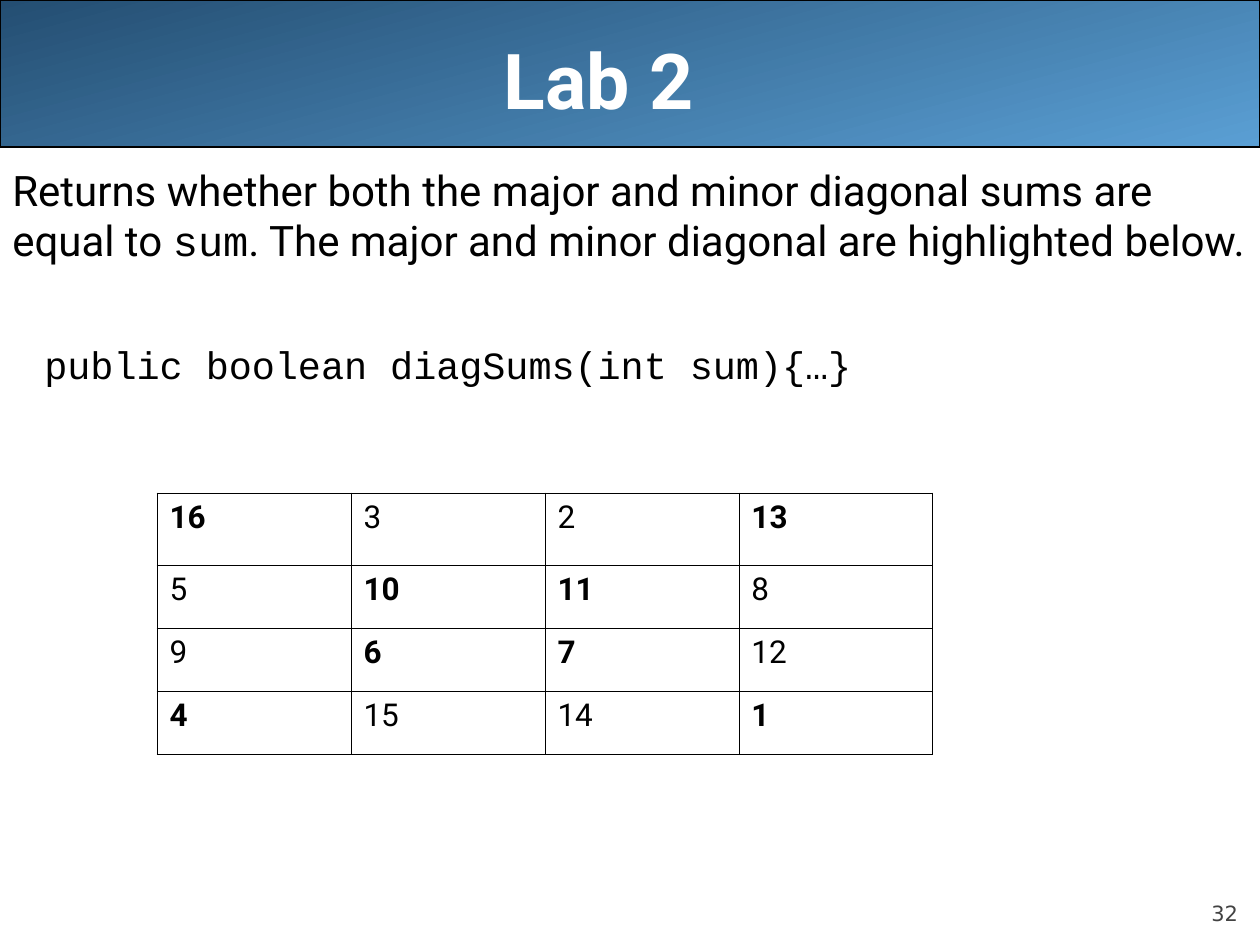
from dataclasses import dataclass

from lxml.etree import SubElement
from pptx import Presentation
from pptx.dml.color import RGBColor
from pptx.enum.shapes import MSO_SHAPE
from pptx.enum.text import MSO_ANCHOR, PP_ALIGN
from pptx.oxml.ns import qn
from pptx.util import Pt

EMU_PER_PX = 914400 / 126
COLORS = {
    "banner_dark": "244E72",
    "banner_light": "5A9FD4",
    "ink": "000000",
    "title": "FFFFFF",
    "page": "424242",
}
SANS, MONO, PAGE_FONT = "Roboto", "Courier New", "DejaVu Sans"
SQUARE = [[16, 3, 2, 13], [5, 10, 11, 8], [9, 6, 7, 12], [4, 15, 14, 1]]
COLUMN_WIDTH = 194
ROW_HEIGHTS = [72, 63, 63, 63]


@dataclass
class Box:
    left: int
    top: int
    width: int
    height: int

    def emu(self) -> list[int]:
        return [px(n) for n in (self.left, self.top, self.width, self.height)]


@dataclass
class Span:
    text: str
    size: int
    face: str = SANS
    color: str = "ink"
    bold: bool = False


def px(length: int) -> int:
    return round(length * EMU_PER_PX)


def rgb(name: str) -> RGBColor:
    return RGBColor.from_string(COLORS[name])


def style(run, span: Span) -> None:
    run.font.name = span.face
    run.font.size = Pt(span.size)
    run.font.bold = span.bold
    run.font.color.rgb = rgb(span.color)


def write(paragraph, spans: list[Span]) -> None:
    for span in spans:
        run = paragraph.add_run()
        run.text = span.text
        style(run, span)


def add_text(slide, box: Box, spans: list[Span]):
    frame = slide.shapes.add_textbox(*box.emu()).text_frame
    frame.word_wrap = True
    write(frame.paragraphs[0], spans)
    return frame


def add_banner(slide, box: Box) -> None:
    banner = slide.shapes.add_shape(MSO_SHAPE.ROUNDED_RECTANGLE, *box.emu())
    banner.adjustments[0] = 0
    banner.shadow.inherit = False
    banner.fill.gradient()
    banner.fill.gradient_angle = 285
    for stop, name in zip(banner.fill.gradient_stops, ("banner_dark", "banner_light")):
        stop.color.rgb = rgb(name)
    banner.line.color.rgb = rgb("ink")
    banner.line.width = Pt(0.75)
    slide.shapes._spTree.insert(2, banner._element)


def set_title(slide, box: Box, span: Span) -> None:
    title = slide.shapes.title
    title.left, title.top, title.width, title.height = box.emu()
    frame = title.text_frame
    frame.text = span.text
    frame.vertical_anchor = MSO_ANCHOR.MIDDLE
    frame.margin_right = px(75)
    frame.paragraphs[0].alignment = PP_ALIGN.CENTER
    style(frame.paragraphs[0].runs[0], span)


def set_borders(cell) -> None:
    properties = cell._tc.get_or_add_tcPr()
    for position, side in enumerate(("a:lnL", "a:lnR", "a:lnT", "a:lnB")):
        border = SubElement(properties, qn(side), w=str(Pt(0.45)))
        fill = SubElement(border, qn("a:solidFill"))
        SubElement(fill, qn("a:srgbClr"), val=COLORS["ink"])
        properties.insert(position, border)


def add_square(slide, left: int, top: int) -> None:
    size = len(SQUARE)
    box = Box(left, top, COLUMN_WIDTH * size, sum(ROW_HEIGHTS))
    table = slide.shapes.add_table(size, size, *box.emu()).table
    table.first_row = table.horz_banding = False
    for column in table.columns:
        column.width = px(COLUMN_WIDTH)
    for r, (numbers, height) in enumerate(zip(SQUARE, ROW_HEIGHTS)):
        table.rows[r].height = px(height)
        for c, number in enumerate(numbers):
            cell = table.cell(r, c)
            cell.fill.background()
            set_borders(cell)
            on_diagonal = r == c or r + c == size - 1
            write(cell.text_frame.paragraphs[0], [Span(str(number), 18, bold=on_diagonal)])


def main() -> None:
    deck = Presentation()
    deck.slide_width, deck.slide_height = px(1260), px(945)
    slide = deck.slides.add_slide(deck.slide_layouts[5])

    add_banner(slide, Box(0, 0, 1260, 147))
    set_title(slide, Box(63, 0, 1134, 158), Span("Lab 2", 44, color="title", bold=True))
    add_text(slide, Box(0, 158, 1260, 787), [
        Span("Returns whether both the major and minor diagonal sums are equal to ", 24),
        Span("sum", 24, MONO),
        Span(". The major and minor diagonal are highlighted below.", 24),
    ])
    add_square(slide, 157, 493)
    add_text(slide, Box(32, 335, 903, 59), [Span("public boolean diagSums(int sum){…}", 22, MONO)])

    page = add_text(slide, Box(1134, 876, 104, 50), [Span("32", 12, PAGE_FONT, "page")])
    page.margin_left = page.margin_right = page.margin_top = page.margin_bottom = 0
    page.vertical_anchor = MSO_ANCHOR.BOTTOM
    page.paragraphs[0].alignment = PP_ALIGN.RIGHT

    deck.save("out.pptx")


if __name__ == "__main__":
    main()
